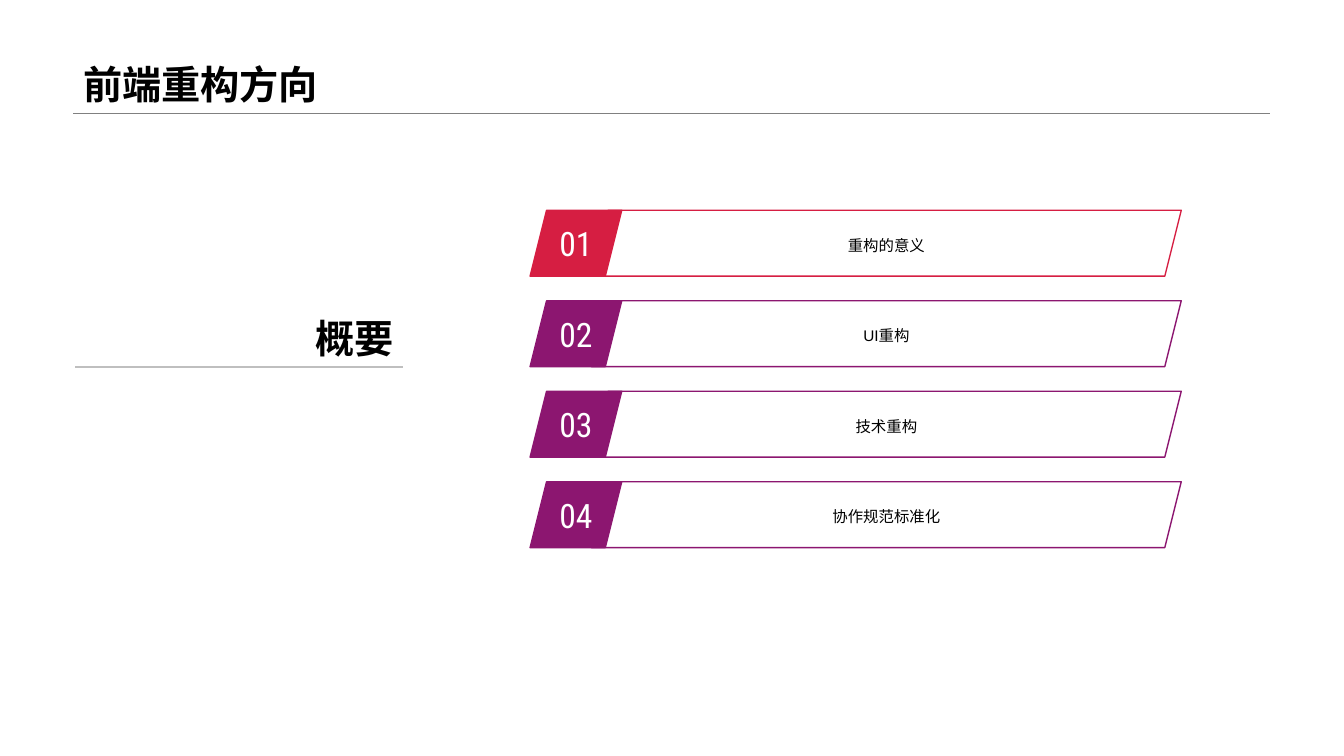
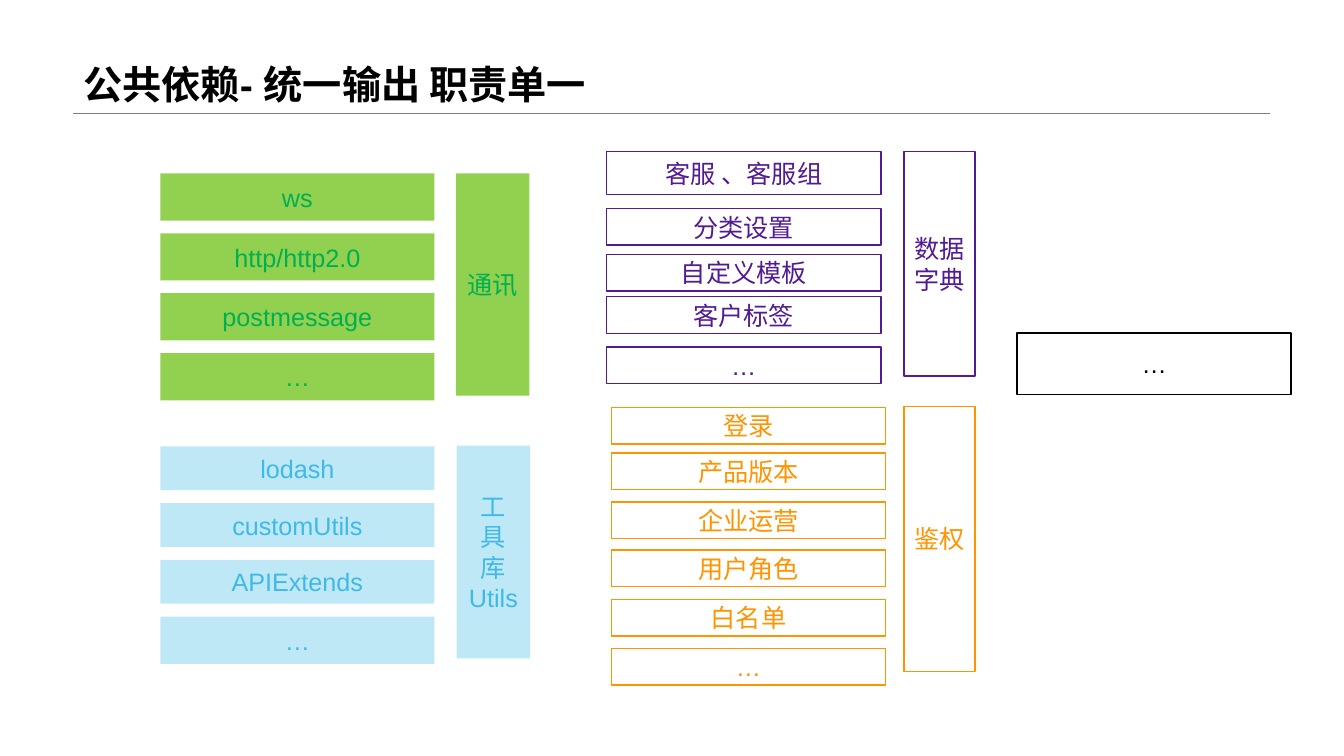
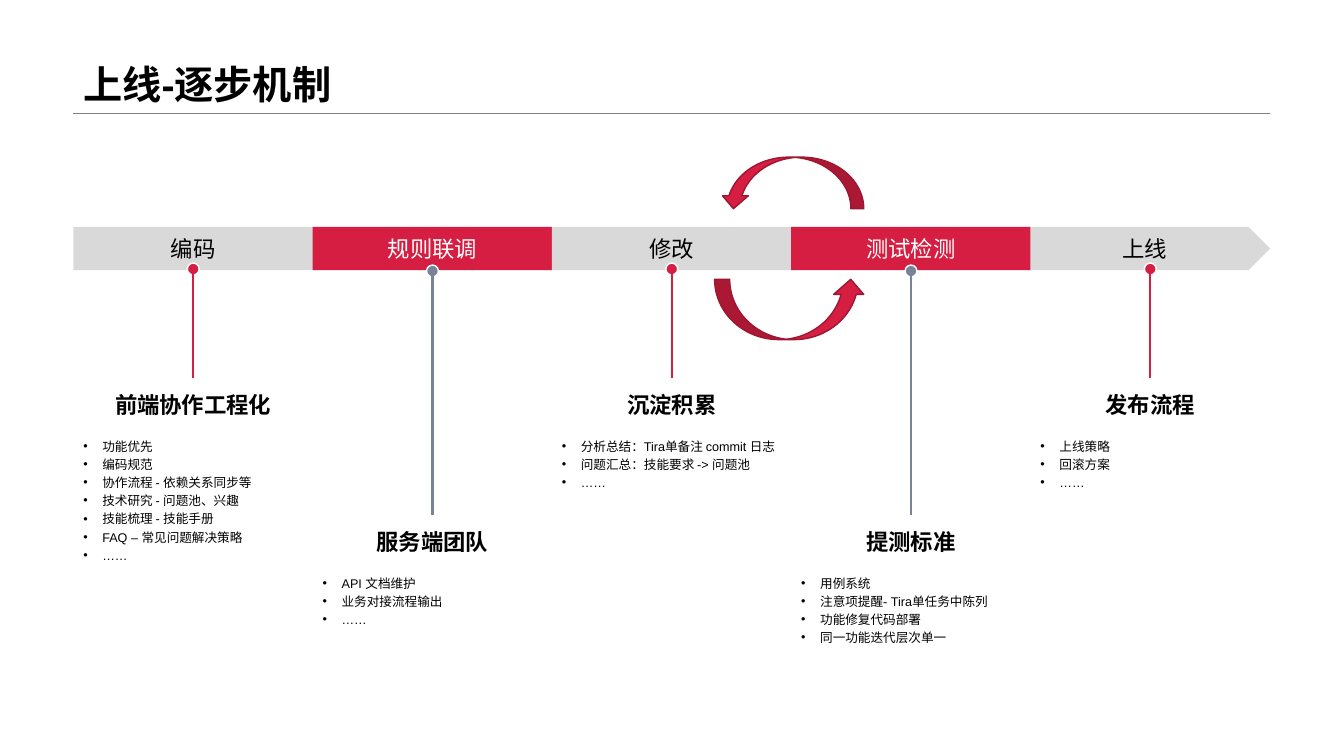
from lxml import etree
from pptx import Presentation
from pptx import util as u
from pptx.dml import color
from pptx.enum import lang, shapes, text
from pptx.oxml import ns

Cm, Pt = u.Cm, u.Pt
SHAPE = shapes.MSO_SHAPE
ALIGN, ANCHOR = text.PP_ALIGN, text.MSO_ANCHOR

COLORS = {
    "black": "000000", "white": "FFFFFF", "rule": "808080", "soft_rule": "BFBFBF",
    "red": "D61E42", "dark_red": "9E1631", "plum": "8C1670",
    "gray": "D9D9D9", "slate": "778495",
    "lime": "92D050", "green": "00B050", "pale_blue": "BFE8F7", "blue": "3FB9E6",
    "purple": "521B93", "orange": "FF9300",
}

# Text formats: font, paragraph and frame attributes
FORMATS = {
    "title": {"font": {"name": "Arial", "size": Pt(28), "bold": True},
              "para": {"line_spacing": 0.9},
              "frame": {"vertical_anchor": ANCHOR.BOTTOM}},
    "section": {"font": {"name": "Arial", "size": Pt(28), "bold": True},
                "para": {"alignment": ALIGN.RIGHT},
                "frame": {"vertical_anchor": ANCHOR.BOTTOM}},
    "number": {"font": {"name": "Roboto Condensed", "size": Pt(24)},
               "para": {"alignment": ALIGN.CENTER},
               "frame": {"vertical_anchor": ANCHOR.MIDDLE, "word_wrap": False}},
    "topic": {"font": {"name": "Arial", "size": Pt(11)},
              "para": {"alignment": ALIGN.CENTER, "line_spacing": 1.2},
              "frame": {"vertical_anchor": ANCHOR.MIDDLE}},
    "block": {"font": {"name": "Arial", "size": Pt(18)},
              "para": {"alignment": ALIGN.CENTER},
              "frame": {"vertical_anchor": ANCHOR.MIDDLE,
                        "margin_left": Cm(0.2), "margin_right": Cm(0.2)}},
    "stage": {"font": {"name": "Roboto Condensed", "size": Pt(16)},
              "para": {"alignment": ALIGN.CENTER},
              "frame": {"vertical_anchor": ANCHOR.MIDDLE}},
    "heading": {"font": {"name": "Arial", "size": Pt(16), "bold": True},
                "para": {"alignment": ALIGN.CENTER},
                "frame": {"vertical_anchor": ANCHOR.MIDDLE}},
    "bullets": {"font": {"name": "Arial", "size": Pt(9)},
                "para": {"line_spacing": 1.2},
                "frame": {"vertical_anchor": ANCHOR.TOP}},
}


def rgb(name):
    return color.RGBColor.from_string(COLORS[name])


def apply(target, values):
    for name, value in values.items():
        setattr(target, name, value)


class Deck:
    """Holds the presentation, its style and the current slide."""

    LEFT, WIDTH, RULE_Y = 1.85, 30.15, 2.85

    def __init__(self):
        self.prs = Presentation()
        self.prs.slide_width, self.prs.slide_height = Cm(33.87), Cm(19.05)
        self.s = None

    def slide(self, title):
        self.s = self.prs.slides.add_slide(self.prs.slide_layouts[6])
        self.line(self.LEFT, self.RULE_Y, self.LEFT + self.WIDTH, self.RULE_Y, "rule", 0.25)
        self.label(self.LEFT, 0, self.WIDTH, self.RULE_Y, title, "title")

    def fill_text(self, sp, lines, style, ink):
        fmt = FORMATS[style]
        tf = sp.text_frame
        tf.word_wrap = True
        apply(tf, fmt["frame"])
        lines = [lines] if isinstance(lines, str) else lines
        for i, line in enumerate(lines):
            p = tf.paragraphs[0] if i == 0 else tf.add_paragraph()
            if style == "bullets":
                self.bullet(p)
            apply(p, fmt["para"])
            r = p.add_run()
            r.text = line
            apply(r.font, fmt["font"])
            r.font.color.rgb = rgb(ink)
            r.font.language_id = lang.MSO_LANGUAGE_ID.SIMPLIFIED_CHINESE

    def bullet(self, p):
        pPr = p._p.get_or_add_pPr()
        pPr.set("marL", str(Cm(0.48)))
        pPr.set("indent", str(-Cm(0.48)))
        etree.SubElement(pPr, ns.qn("a:buFont")).set("typeface", "Arial")
        etree.SubElement(pPr, ns.qn("a:buChar")).set("char", "•")

    def label(self, x, y, w, h, lines, style):
        sp = self.s.shapes.add_textbox(Cm(x), Cm(y), Cm(w), Cm(h))
        self.fill_text(sp, lines, style, "black")
        return sp

    def shape(self, kind, x, y, w, h, fill=None, line=None, flip=None):
        sp = self.s.shapes.add_shape(kind, Cm(x), Cm(y), Cm(w), Cm(h))
        sp.shadow.inherit = False
        if fill:
            sp.fill.solid()
            sp.fill.fore_color.rgb = rgb(fill)
        else:
            sp.fill.background()
        if line:
            sp.line.color.rgb = rgb(line)
            sp.line.width = Pt(1)
        else:
            sp.line.fill.background()
        if flip:
            sp.element.spPr.get_or_add_xfrm().set(flip, "1")
        return sp

    def box(self, kind, x, y, w, h, lines, style, ink, fill=None, line=None):
        self.fill_text(self.shape(kind, x, y, w, h, fill, line), lines, style, ink)

    def line(self, x1, y1, x2, y2, ink, width):
        c = self.s.shapes.add_connector(
            shapes.MSO_CONNECTOR.STRAIGHT, Cm(x1), Cm(y1), Cm(x2), Cm(y2))
        c.line.color.rgb = rgb(ink)
        c.line.width = Pt(width)
        etree.SubElement(c.element.spPr, ns.qn("a:effectLst"))
        return c


def overview(deck):
    deck.slide("前端重构方向")
    topics = ["重构的意义", "UI重构", "技术重构", "协作规范标准化"]
    for i, topic in enumerate(topics):
        ink = "plum" if i else "red"
        y = 5.3 + 2.28 * i
        deck.box(SHAPE.PARALLELOGRAM, 13.36, y, 2.31, 1.66, f"{i + 1:02}", "number",
                 "white", fill=ink, line=ink)
        deck.box(SHAPE.PARALLELOGRAM, 14.91, y, 14.86, 1.66, topic, "topic",
                 "black", line=ink)
    deck.line(1.9, 9.24, 10.16, 9.24, "soft_rule", 1.5)
    deck.label(4.11, 6.45, 6.07, 2.79, "概要", "section")


def dependencies(deck):
    deck.slide("公共依赖- 统一输出 职责单一")
    item_w = 6.91
    # Each group: ink, fill, line, left, items (top, height, text), side bar (x, y, w, h, text)
    groups = [
        ("green", "lime", None, 4.04,
         [(4.37 + 1.51 * i, 1.19, t)
          for i, t in enumerate(["ws", "http/http2.0", "postmessage", "…"])],
         (11.49, 4.37, 1.85, 5.6, "通讯")),
        ("blue", "pale_blue", None, 4.04,
         [(11.25 + 1.43 * i, 1.19 if t == "…" else 1.1, t)
          for i, t in enumerate(["lodash", "customUtils", "APIExtends", "…"])],
         (11.51, 11.23, 1.85, 5.36, ["工", "具", "库", "Utils"])),
        ("purple", "white", "purple", 15.29,
         [(3.82, 1.09, "客服 、客服组"), (5.26, 0.92, "分类设置"),
          (6.41, 0.92, "自定义模板"), (7.48, 0.92, "客户标签"), (8.74, 0.92, "…")],
         (22.78, 3.82, 1.79, 5.66, "数据字典")),
        ("orange", "white", "orange", 15.41,
         [(10.27, 0.92, "登录"), (11.42, 0.92, "产品版本"), (12.65, 0.92, "企业运营"),
          (13.86, 0.92, "用户角色"), (15.11, 0.92, "白名单"), (16.34, 0.92, "…")],
         (22.78, 10.24, 1.79, 6.68, "鉴权")),
    ]
    for ink, fill, line, x, items, (*bar, bar_text) in groups:
        for y, h, item in items:
            deck.box(SHAPE.RECTANGLE, x, y, item_w, h, item, "block", ink, fill, line)
        deck.box(SHAPE.RECTANGLE, *bar, bar_text, "block", ink, fill, line)
    deck.box(SHAPE.RECTANGLE, 25.63, 8.39, item_w, 1.55, "…", "block",
             "black", "white", "black")


def release(deck):
    deck.slide("上线-逐步机制")
    stages = [
        ("编码", "前端协作工程化",
         ["功能优先", "编码规范", "协作流程 - 依赖关系同步等", "技术研究 - 问题池、兴趣",
          "技能梳理 - 技能手册", "FAQ – 常见问题解决策略", "……"]),
        ("规则联调", "服务端团队", ["API 文档维护", "业务对接流程输出", "……"]),
        ("修改", "沉淀积累",
         ["分析总结：Tira单备注 commit 日志", "问题汇总：技能要求 -> 问题池", "……"]),
        ("测试检测", "提测标准",
         ["用例系统", "注意项提醒- Tira单任务中陈列", "功能修复代码部署", "同一功能迭代层次单一"]),
        ("上线", "发布流程", ["上线策略", "回滚方案", "……"]),
    ]
    pitch, w, dot = 6.03, 6.04, 0.3
    # Stage band
    for i, (stage, _, _) in enumerate(stages):
        kind = SHAPE.PENTAGON if i == len(stages) - 1 else SHAPE.RECTANGLE
        fill, ink = ("red", "white") if i % 2 else ("gray", "black")
        deck.box(kind, deck.LEFT + pitch * i, 5.72, w, 1.09, stage, "stage", ink, fill)
    # Pins with headings and bullets, alternately high and low
    for i, (_, heading, points) in enumerate(stages):
        x = deck.LEFT + pitch * i
        center = x + w / 2
        top, dot_y, ink = (12.98, 6.68, "slate") if i % 2 else (9.53, 6.63, "red")
        deck.shape(SHAPE.OVAL, center - dot / 2, dot_y, dot, dot, ink, "white")
        title = deck.label(x, top, w, 1.32, heading, "heading")
        pin = deck.line(center, top, center, 6.87, ink, 1.5)
        pin.begin_connect(title, 0)
        deck.label(x, top + 1.32, w, 5.79 if len(points) > 4 else 2.34, points, "bullets")
    # Loop between fixing and testing
    deck.shape(SHAPE.CURVED_DOWN_ARROW, 18.16, 3.96, 3.61, 1.3, "red", "dark_red", "flipH")
    deck.shape(SHAPE.CURVED_DOWN_ARROW, 18.01, 7.04, 3.81, 1.52, "red", "dark_red", "flipV")


def main():
    deck = Deck()
    overview(deck)
    dependencies(deck)
    release(deck)
    deck.prs.save("out.pptx")


if __name__ == "__main__":
    main()
